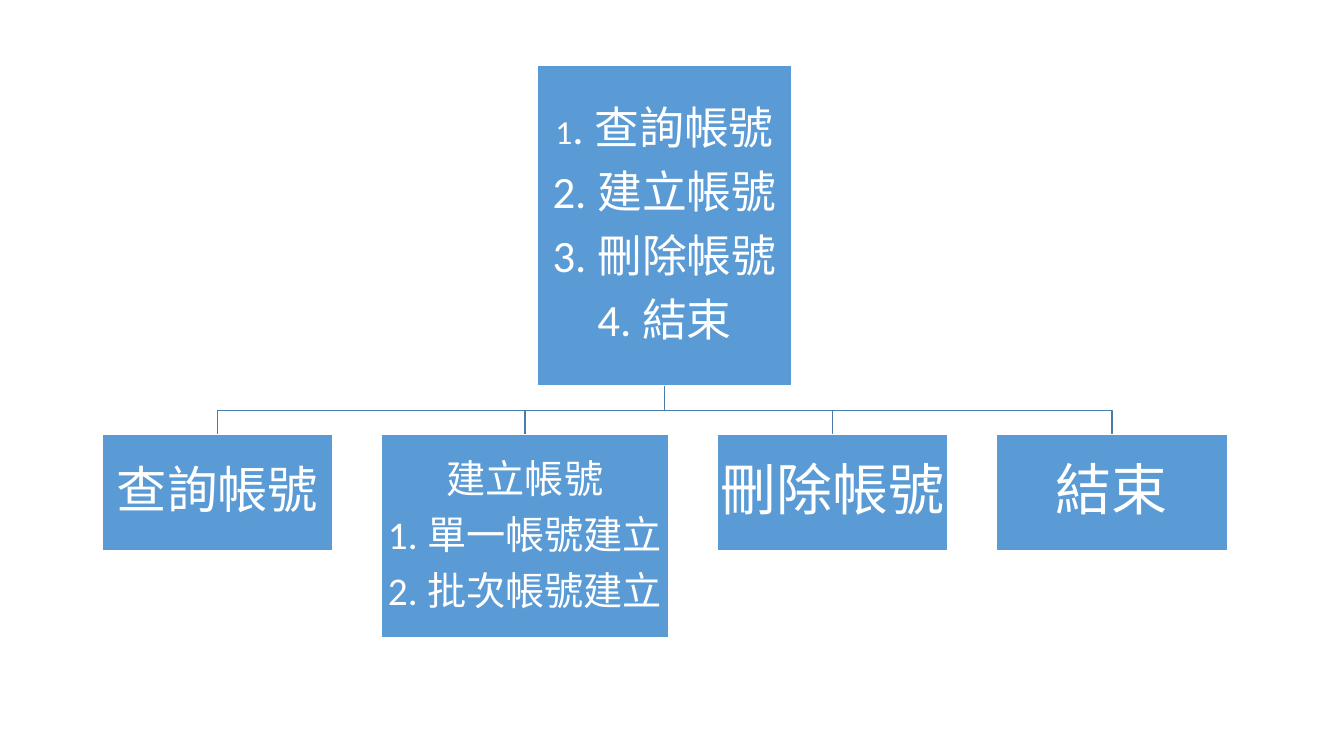
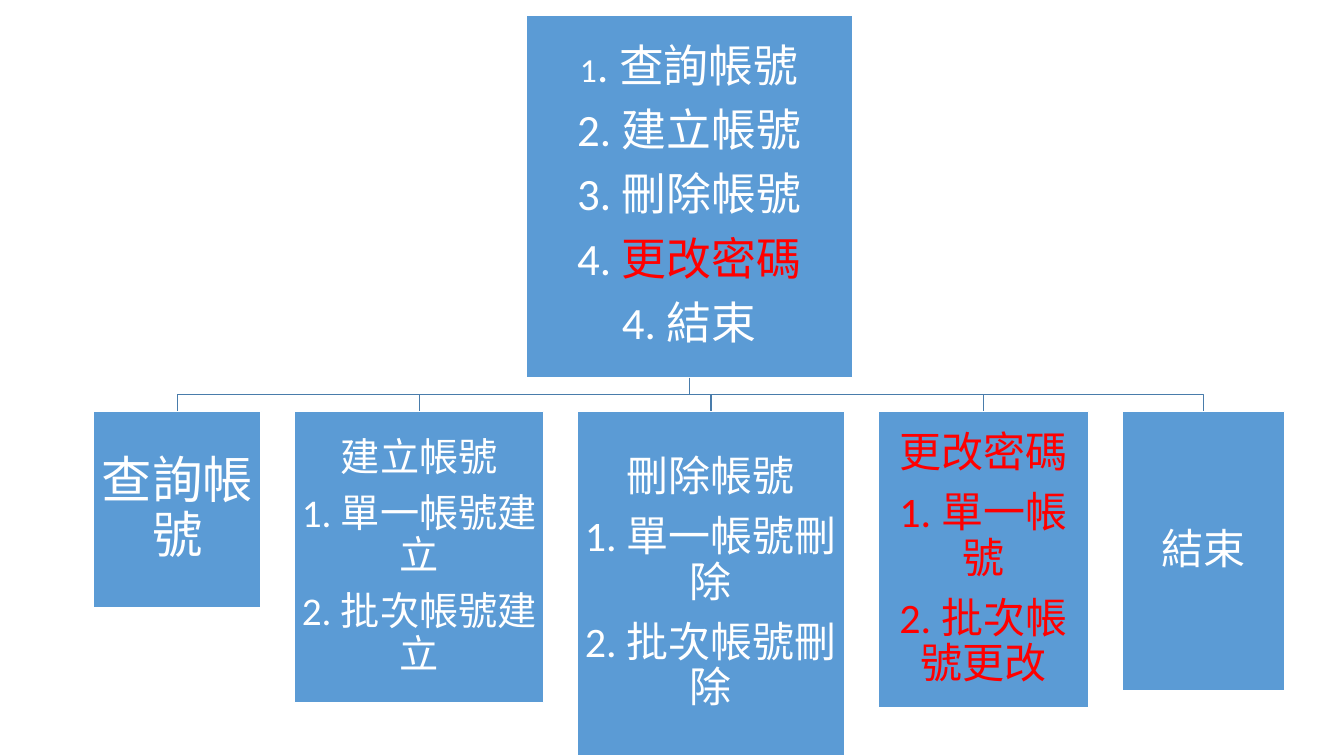
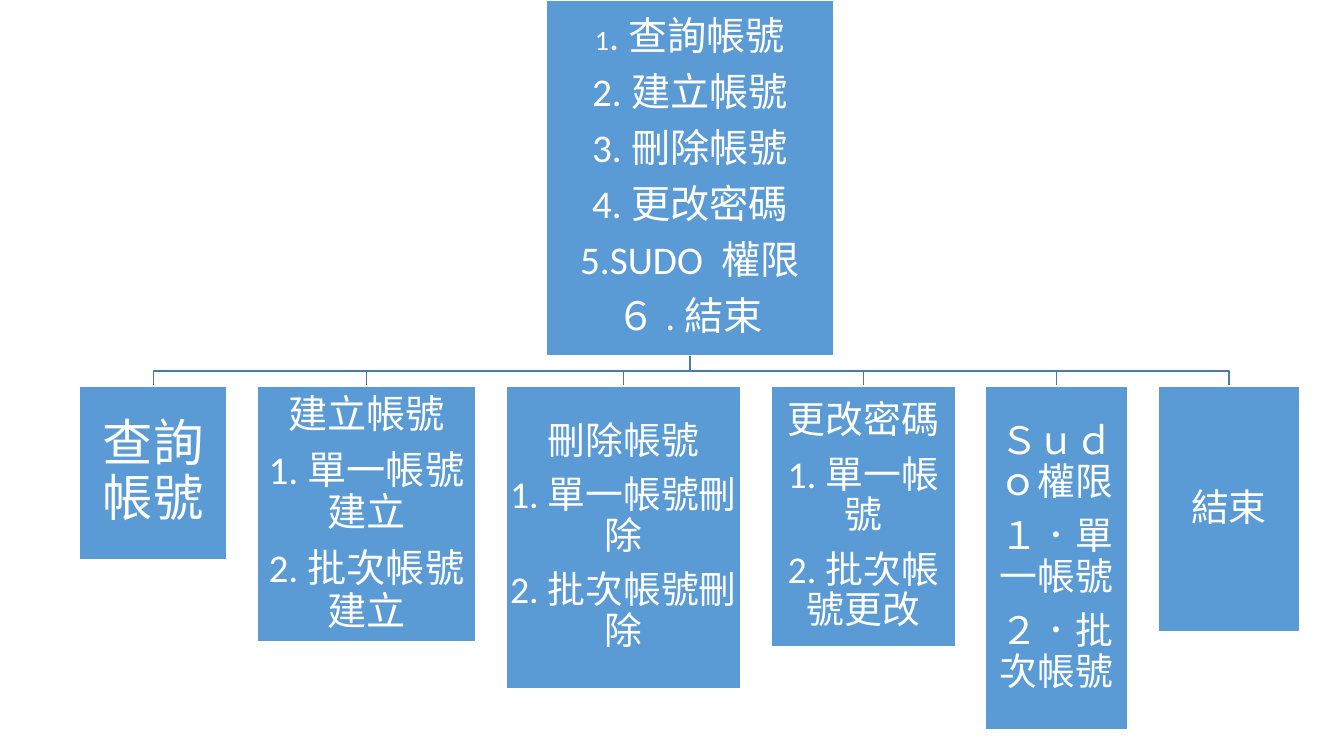
from dataclasses import dataclass

from pptx import Presentation
from pptx import util as u
from pptx.dml.color import RGBColor
from pptx.enum import lang, shapes, text


@dataclass(frozen=True)
class Theme:
    """Colours, font and type sizes shared by all slides."""
    box: RGBColor = RGBColor(0x5B, 0x9B, 0xD5)
    link: RGBColor = RGBColor(0x49, 0x7C, 0xAB)
    white: RGBColor = RGBColor(0xFF, 0xFF, 0xFF)
    red: RGBColor = RGBColor(0xFF, 0x00, 0x00)
    font: str = "Calibri"
    digit_s: int = 20
    digit: int = 24
    xs: int = 27
    s: int = 28
    m: int = 30
    l: int = 32
    xl: int = 36
    xxl: int = 40


T = Theme()


def add_box(s, left, top, width, height, size, lines, color=T.white):
    """Add a blue box; a line is a string or a list of (text, size, colour) runs."""
    sp = s.shapes.add_shape(shapes.MSO_SHAPE.RECTANGLE, u.Cm(left), u.Cm(top),
                            u.Cm(width), u.Cm(height))
    sp.shadow.inherit = False
    sp.fill.solid()
    sp.fill.fore_color.rgb = T.box
    sp.line.color.rgb = T.white
    sp.line.width = u.Pt(1)
    tf = sp.text_frame
    tf.word_wrap = True
    tf.vertical_anchor = text.MSO_ANCHOR.MIDDLE
    tf.margin_left = tf.margin_right = tf.margin_top = tf.margin_bottom = u.Cm(0.05)
    for i, line in enumerate(lines):
        p = tf.add_paragraph() if i else tf.paragraphs[0]
        p.alignment = text.PP_ALIGN.CENTER
        p.line_spacing = 0.9
        p.space_after = u.Pt(0.35 * size)
        runs = [(line, size, color)] if isinstance(line, str) else line
        for words, run_size, run_color in runs:
            r = p.add_run()
            r.text = words
            r.font.name = T.font
            r.font.size = u.Pt(run_size)
            r.font.color.rgb = run_color
            r.font.language_id = lang.MSO_LANGUAGE_ID.TRADITIONAL_CHINESE


def add_link(s, x0, y0, x1, y1):
    """Add an elbow line from a parent's foot to a child's top."""
    mid = (y0 + y1) / 2
    points = [(u.Cm(x), u.Cm(y)) for x, y in ((x0, y0), (x0, mid), (x1, mid), (x1, y1))]
    fb = s.shapes.build_freeform(*points[0])
    fb.add_line_segments(points[1:], close=False)
    sp = fb.convert_to_shape()
    sp.shadow.inherit = False
    sp.fill.background()
    sp.line.color.rgb = T.link
    sp.line.width = u.Pt(1)


CREATE = ["建立帳號", "1.單一帳號建立", "2.批次帳號建立"]
DELETE = ["刪除帳號", "1.單一帳號刪除", "2.批次帳號刪除"]
CHANGE = ["更改密碼", "1.單一帳號", "2.批次帳號更改"]
SUDO = ["Ｓｕｄｏ權限", "１．單一帳號", "２．批次帳號"]
MENU = ["2.建立帳號", "3.刪除帳號"]

# root: top, width, height, digit size, size, lines after the first
# children: width, height, size, lines, optional colour; gap is used both ways
charts = [
    dict(left=2.57, gap=1.22,
         root=(1.65, 6.4, 8.08, T.digit, T.l, MENU + ["4.結束"]),
         children=[(5.82, 2.92, T.xl, ["查詢帳號"]),
                   (7.24, 5.13, T.s, CREATE),
                   (5.82, 2.92, T.xxl, ["刪除帳號"]),
                   (5.82, 2.92, T.xxl, ["結束"])]),
    dict(left=2.36, gap=0.85,
         root=(0.38, 8.23, 9.14, T.digit, T.l,
               MENU + [[("4.", T.l, T.white), ("更改密碼", T.l, T.red)], "4.結束"]),
         children=[(4.22, 4.95, T.xl, ["查詢帳號"]),
                   (6.27, 7.34, T.s, CREATE),
                   (6.73, 8.68, T.m, DELETE),
                   (5.31, 7.47, T.m, CHANGE, T.red),
                   (4.09, 7.04, T.m, ["結束"])]),
    dict(left=2.01, gap=0.76,
         root=(0, 7.24, 8.97, T.digit_s, T.s,
               MENU + ["4.更改密碼", "5.SUDO 權限", "６.結束"]),
         children=[(3.71, 4.37, T.xl, ["查詢帳號"]),
                   (5.51, 6.45, T.s, CREATE),
                   (5.92, 7.62, T.xs, DELETE),
                   (4.65, 6.58, T.xs, CHANGE),
                   (3.58, 8.66, T.xs, SUDO),
                   (3.58, 6.2, T.xs, ["結束"])]),
]

prs = Presentation()
prs.slide_width, prs.slide_height = u.Cm(33.87), u.Cm(19.05)

for chart in charts:
    s = prs.slides.add_slide(prs.slide_layouts[6])
    left, gap, children = chart["left"], chart["gap"], chart["children"]
    top, width, height, digit_size, size, items = chart["root"]
    row_width = sum(child[0] for child in children) + gap * (len(children) - 1)
    center = left + row_width / 2
    foot = top + height

    first = [("1", digit_size, T.white), (".查詢帳號", size, T.white)]
    add_box(s, center - width / 2, top, width, height, size, [first] + items)
    for child_width, *rest in children:
        add_link(s, center, foot, left + child_width / 2, foot + gap)
        add_box(s, left, foot + gap, child_width, *rest)
        left += child_width + gap

prs.save("out.pptx")
